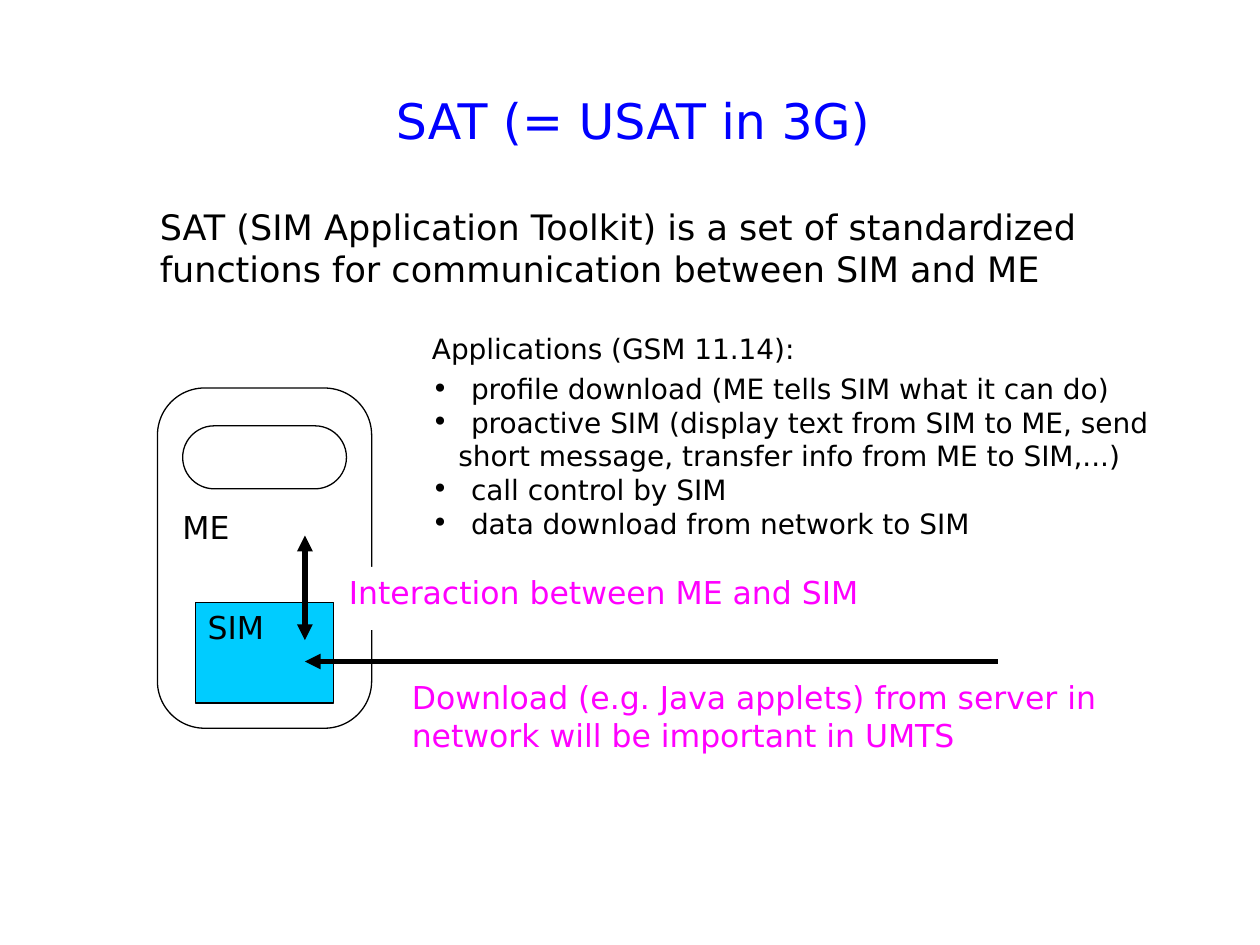
import pptx
import pptx.dml.color
import pptx.enum.shapes
import pptx.enum.text
import pptx.oxml
import pptx.oxml.ns
import pptx.util
from pptx.util import Inches

FONT = "DejaVu Sans"
BLACK = "000000"
WHITE = "FFFFFF"
BLUE = "0000FF"
CYAN = "00CCFF"
MAGENTA = "FF00FF"
SHAPES = pptx.enum.shapes.MSO_SHAPE
ALIGN = pptx.enum.text.PP_ALIGN


def color(value):
    return pptx.dml.color.RGBColor.from_string(value)


def apply(target, values):
    for name, value in values.items():
        setattr(target, name, value)


def add_xml(parent, tag, **attributes):
    child = pptx.oxml.parse_xml(f"<a:{tag} {pptx.oxml.ns.nsdecls('a')}/>")
    for name, value in attributes.items():
        child.set(name, str(value))
    parent.append(child)


def write_para(para, text, size, font_color, **formats):
    apply(para, {"alignment": ALIGN.LEFT, **formats})
    span = para.add_run()
    span.text = text
    apply(span.font, {"name": FONT, "size": pptx.util.Pt(size)})
    span.font.color.rgb = color(font_color)


def indent_para(para, margin, bullet=None):
    properties = para._p.get_or_add_pPr()
    properties.set("marL", str(Inches(margin)))
    properties.set("indent", str(Inches(-margin if bullet else 0)))
    if bullet:
        add_xml(properties, "buFont", typeface=FONT)
        add_xml(properties, "buChar", char=bullet)


def prepare_frame(box):
    frame = box.text_frame
    apply(frame, {"word_wrap": True, "vertical_anchor": pptx.enum.text.MSO_ANCHOR.TOP})
    return frame


def add_text(page, place, text, size, font_color, **formats):
    box = page.shapes.add_textbox(*map(Inches, place))
    write_para(prepare_frame(box).paragraphs[0], text, size, font_color, **formats)


def add_panel(page, kind, place, fill, outlined=True, corner=None):
    panel = page.shapes.add_shape(kind, *map(Inches, place))
    panel.shadow.inherit = False
    panel.fill.solid()
    panel.fill.fore_color.rgb = color(fill)
    if outlined:
        panel.line.color.rgb = color(BLACK)
        panel.line.width = pptx.util.Pt(0.75)
    else:
        panel.line.fill.background()
    if corner is not None:
        panel.adjustments[0] = corner
    return panel


def add_arrow(page, start, end, heads):
    arrow = page.shapes.add_connector(
        pptx.enum.shapes.MSO_CONNECTOR.STRAIGHT, *map(Inches, start + end))
    arrow.line.color.rgb = color(BLACK)
    arrow.line.width = pptx.util.Pt(3)
    for head in heads:
        add_xml(arrow.line._get_or_add_ln(), head, type="triangle")
    add_xml(arrow._element.spPr, "effectLst")


def add_applications(page):
    panel = add_panel(page, SHAPES.RECTANGLE, (3.33, 2.58, 6.08, 1.92), WHITE, False)
    frame = prepare_frame(panel)
    write_para(frame.paragraphs[0], "Applications (GSM 11.14):", 16, BLACK,
               space_after=pptx.util.Pt(4))
    lines = [
        ("profile download (ME tells SIM what it can do)", 0.31, "•"),
        ("proactive SIM (display text from SIM to ME, send", 0.31, "•"),
        ("short message, transfer info from ME to SIM,...)", 0.21, None),
        ("call control by SIM", 0.31, "•"),
        ("data download from network to SIM", 0.31, "•"),
    ]
    for text, margin, bullet in lines:
        para = frame.add_paragraph()
        write_para(para, text, 16, BLACK)
        indent_para(para, margin, bullet)


def add_phone(page):
    add_panel(page, SHAPES.ROUNDED_RECTANGLE, (1.25, 3.08, 1.7, 2.7), WHITE, corner=0.22)
    add_panel(page, SHAPES.ROUNDED_RECTANGLE, (1.45, 3.38, 1.3, 0.5), WHITE, corner=0.5)
    card = add_panel(page, SHAPES.RECTANGLE, (1.55, 4.78, 1.1, 0.8), CYAN)
    write_para(prepare_frame(card).paragraphs[0], "SIM", 18, BLACK)
    add_text(page, (1.35, 3.98, 0.7, 0.5), "ME", 18, BLACK)
    add_arrow(page, (2.42, 4.25), (2.42, 5.08), ["headEnd", "tailEnd"])


def main():
    deck = pptx.Presentation()
    apply(deck, {"slide_width": Inches(10), "slide_height": Inches(7.5)})
    page = deck.slides.add_slide(deck.slide_layouts[6])
    add_text(page, (0.67, 0.67, 8.83, 0.57), "SAT (= USAT in 3G) ", 28, BLUE,
             alignment=ALIGN.CENTER)
    add_text(page, (1.17, 1.58, 7.83, 0.77),
             "SAT (SIM Application Toolkit) is a set of standardized "
             "functions for communication between SIM and ME", 20, BLACK)
    add_phone(page)
    add_applications(page)
    add_arrow(page, (7.92, 5.25), (2.42, 5.25), ["tailEnd"])
    add_text(page, (3.17, 5.33, 6.1, 0.8),
             "Download (e.g. Java applets) from server in "
             "network will be important in UMTS", 18, MAGENTA)
    label = add_panel(page, SHAPES.RECTANGLE, (2.67, 4.5, 4.75, 0.5), WHITE, False)
    write_para(prepare_frame(label).paragraphs[0],
               "Interaction between ME and SIM", 18, MAGENTA)
    deck.save("out.pptx")


if __name__ == "__main__":
    main()
